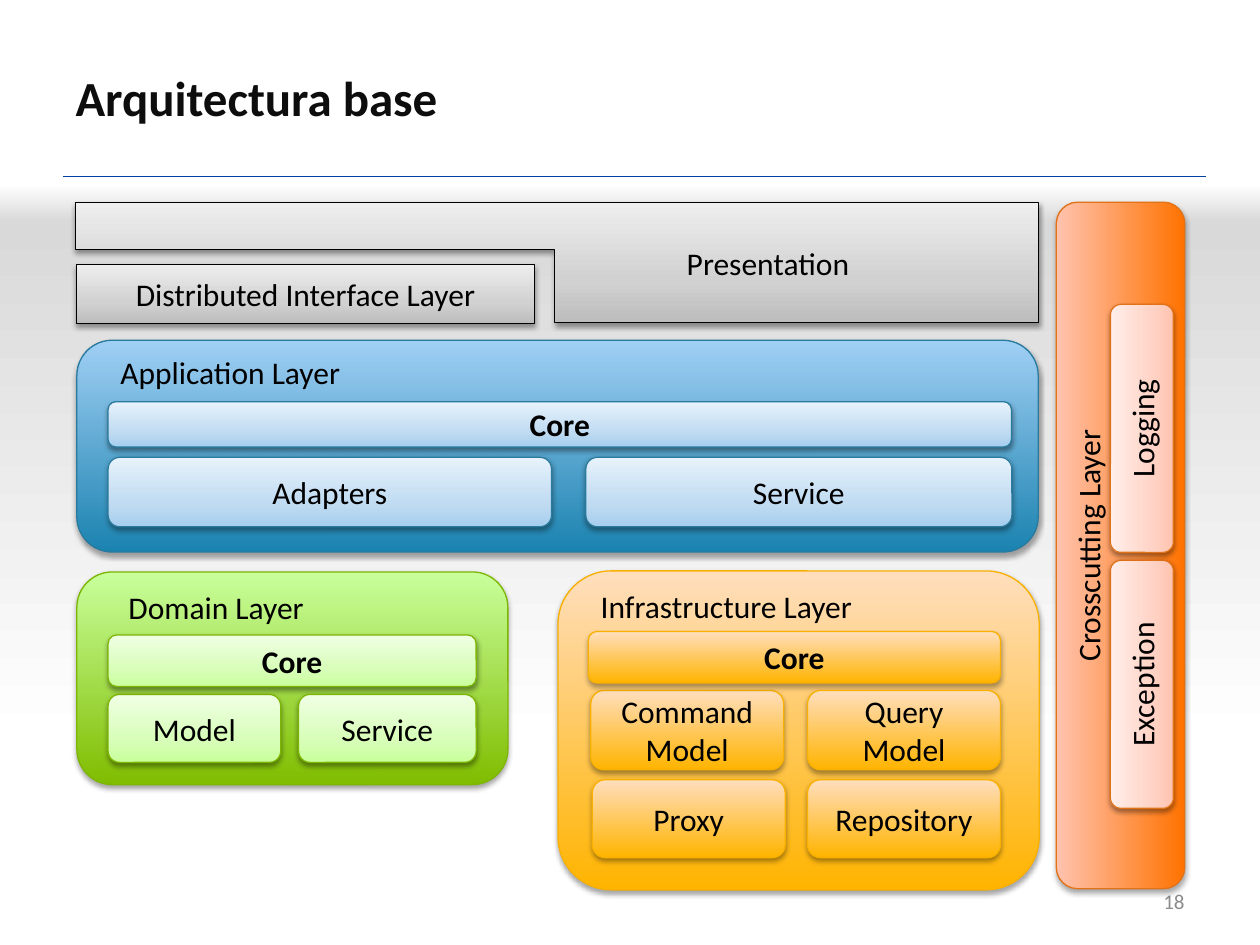
from dataclasses import dataclass

from lxml import etree
from pptx import Presentation
from pptx import util as u
from pptx.dml import color
from pptx.enum import shapes, text
from pptx.oxml import ns

ROUNDED = shapes.MSO_SHAPE.ROUNDED_RECTANGLE
RECTANGLE = shapes.MSO_SHAPE.RECTANGLE
CENTER = text.PP_ALIGN.CENTER
LEFT = text.PP_ALIGN.LEFT
RIGHT = text.PP_ALIGN.RIGHT
MIDDLE = text.MSO_ANCHOR.MIDDLE
TOP = text.MSO_ANCHOR.TOP


@dataclass(frozen=True)
class Style:
    stops: tuple[tuple[int, str], ...]
    line: str
    shadow_alpha: int = 38
    shadow_distance: float = 1.6


@dataclass(frozen=True)
class Box:
    left: float
    top: float
    width: float
    height: float
    label: str = ""
    bold: bool = False


@dataclass(frozen=True)
class Layer:
    frame: Box
    frame_style: Style
    title: Box
    block_style: Style
    blocks: tuple[Box, ...]


def panel(start: str, end: str, line: str) -> Style:
    return Style(((0, start), (100, end)), line, 35, 1.8)


def tint(start: str, middle: str, end: str, line: str) -> Style:
    return Style(((0, start), (35, middle), (100, end)), line)


GRAY = tint("BDBDBD", "D1D1D1", "EEEEEE", "000000")
BLUE = panel("1B83B0", "A0CFF4", "287A9E")
PALE_BLUE = tint("A6CEEE", "C1DCF2", "E7F2FB", "287A9E")
GREEN = panel("80BC00", "C9FF9C", "7DB602")
PALE_GREEN = tint("C9FF9C", "D8FEBA", "F0FFE4", "7DB602")
AMBER = panel("FFB400", "FFDEBD", "F9B000")
ORANGE = panel("FF7200", "FFC3AF", "E27218")
PALE_ORANGE = tint("FFC3AF", "FFD4C7", "FFEEEA", "E27218")

LAYERS = (
    Layer(
        Box(1.55, 6.86, 19.38, 4.27), BLUE,
        Box(2.18, 6.99, 18.21, 1.02, "Application Layer"), PALE_BLUE,
        (
            Box(2.18, 9.22, 8.94, 1.4, "Adapters"),
            Box(2.18, 8.1, 18.21, 0.91, "Core", True),
            Box(11.81, 9.22, 8.59, 1.4, "Service"),
        ),
    ),
    Layer(
        Box(1.55, 11.53, 8.69, 4.29), GREEN,
        Box(2.34, 11.73, 7.42, 1.02, "Domain Layer"), PALE_GREEN,
        (
            Box(2.18, 14, 3.48, 1.37, "Model"),
            Box(2.18, 12.8, 7.42, 1.04, "Core", True),
            Box(6.02, 14, 3.58, 1.37, "Service"),
        ),
    ),
    Layer(
        Box(11.25, 11.51, 9.7, 6.43), AMBER,
        Box(11.86, 11.71, 8.31, 1.02, "Infrastructure Layer"), AMBER,
        (
            Box(11.91, 13.92, 3.89, 1.6, "Command Model"),
            Box(11.86, 12.73, 8.31, 1.04, "Core", True),
            Box(16.28, 13.92, 3.89, 1.6, "Query Model"),
            Box(11.94, 15.72, 3.89, 1.57, "Proxy"),
            Box(16.28, 15.72, 3.89, 1.57, "Repository"),
        ),
    ),
)


def rgb(value: str) -> color.RGBColor:
    return color.RGBColor.from_string(value)


def place(box: Box) -> list:
    return [u.Cm(value) for value in (box.left, box.top, box.width, box.height)]


def child(parent, tag: str, **attributes):
    values = {name: str(value) for name, value in attributes.items()}
    return etree.SubElement(parent, ns.qn(tag), values)


def set_gradient(shape, stops, angle: int) -> None:
    shape.fill.background()
    properties = shape._element.spPr
    empty = properties.find(ns.qn("a:noFill"))
    gradient = etree.Element(ns.qn("a:gradFill"), rotWithShape="1")
    stop_list = child(gradient, "a:gsLst")
    for position, value in stops:
        stop = child(stop_list, "a:gs", pos=position * 1000)
        child(stop, "a:srgbClr", val=value)
    child(gradient, "a:lin", ang=angle * 60000, scaled=0)
    properties.replace(empty, gradient)


def apply_style(shape, style: Style) -> None:
    set_gradient(shape, style.stops, 270)
    shape.line.color.rgb = rgb(style.line)
    shape.line.width = u.Pt(0.75)
    shape.shadow.inherit = False
    effects = shape._element.spPr.find(ns.qn("a:effectLst"))
    shadow = child(effects, "a:outerShdw", blurRad=u.Pt(3.1), dist=u.Pt(style.shadow_distance),
                   dir=90 * 60000, rotWithShape=0)
    shadow_color = child(shadow, "a:srgbClr", val="000000")
    child(shadow_color, "a:alpha", val=style.shadow_alpha * 1000)


def write(shape, label: str, align=CENTER, anchor=MIDDLE, size: float = 18,
          bold: bool = False, ink: str = "000000") -> None:
    frame = shape.text_frame
    frame.word_wrap = True
    frame.vertical_anchor = anchor
    paragraph = frame.paragraphs[0]
    paragraph.text = label
    paragraph.alignment = align
    font = paragraph.runs[0].font
    for name, value in {"name": "Calibri", "size": u.Pt(size), "bold": bold}.items():
        setattr(font, name, value)
    font.color.rgb = rgb(ink)


def add_box(slide, box: Box, style: Style, kind=ROUNDED, rotation: float = 0, anchor=MIDDLE) -> None:
    shape = slide.shapes.add_shape(kind, *place(box))
    shape.rotation = rotation
    apply_style(shape, style)
    if box.label:
        write(shape, box.label, anchor=anchor, bold=box.bold)


def add_text(slide, box: Box, **options) -> None:
    write(slide.shapes.add_textbox(*place(box)), box.label, **options)


def add_band(slide, box: Box, angle: int) -> None:
    shape = slide.shapes.add_shape(RECTANGLE, *place(box))
    set_gradient(shape, ((0, "D9D9D9"), (100, "FFFFFF")), angle)
    shape.line.fill.background()
    shape.shadow.inherit = False


def add_rule(slide) -> None:
    rule = slide.shapes.add_connector(shapes.MSO_CONNECTOR.STRAIGHT,
                                      u.Cm(1.27), u.Cm(3.56), u.Cm(24.31), u.Cm(3.56))
    rule.line.color.rgb = rgb("0041A1")
    rule.line.width = u.Pt(1)
    child(rule._element.spPr, "a:effectLst")


def add_presentation_layer(slide) -> None:
    corners = ((20.93, 4.09), (20.93, 6.5), (11.18, 6.5), (11.18, 5.03), (1.52, 5.03))
    builder = slide.shapes.build_freeform(u.Cm(1.52), u.Cm(4.09))
    builder.add_line_segments([(u.Cm(x), u.Cm(y)) for x, y in corners], close=True)
    shape = builder.convert_to_shape()
    apply_style(shape, GRAY)
    write(shape, "Presentation", align=RIGHT)
    shape.text_frame.margin_right = u.Cm(3.81)


def main() -> None:
    presentation = Presentation()
    presentation.slide_width, presentation.slide_height = u.Cm(25.4), u.Cm(19.05)
    slide = presentation.slides.add_slide(presentation.slide_layouts[5])
    add_rule(slide)
    add_band(slide, Box(0, 3.71, 25.4, 0.76), 270)
    add_band(slide, Box(0, 4.47, 25.4, 10.46), 90)
    add_text(slide, Box(18.21, 17.65, 5.92, 1.02, "18"), align=RIGHT, size=12, ink="8C8C8C")
    title = slide.shapes.title
    title.left, title.top, title.width, title.height = place(Box(1.27, 0.89, 18.69, 2.11))
    write(title, "Arquitectura base", align=LEFT, size=28, bold=True, ink="0D0D0D")
    for layer in LAYERS:
        add_box(slide, layer.frame, layer.frame_style)
        add_text(slide, layer.title, align=LEFT, anchor=TOP)
        for block in layer.blocks:
            add_box(slide, block, layer.block_style)
    add_box(slide, Box(1.55, 5.33, 9.22, 1.19, "Distributed Interface Layer"), GRAY, RECTANGLE)
    add_presentation_layer(slide)
    add_box(slide, Box(15.67, 9.7, 13.84, 2.59, "Crosscutting Layer"), ORANGE, rotation=270, anchor=TOP)
    for label, top in (("Exception", 13.16), ("Logging", 8)):
        add_box(slide, Box(20.52, top, 5, 1.27, label), PALE_ORANGE, rotation=270)
    presentation.save("out.pptx")


if __name__ == "__main__":
    main()
